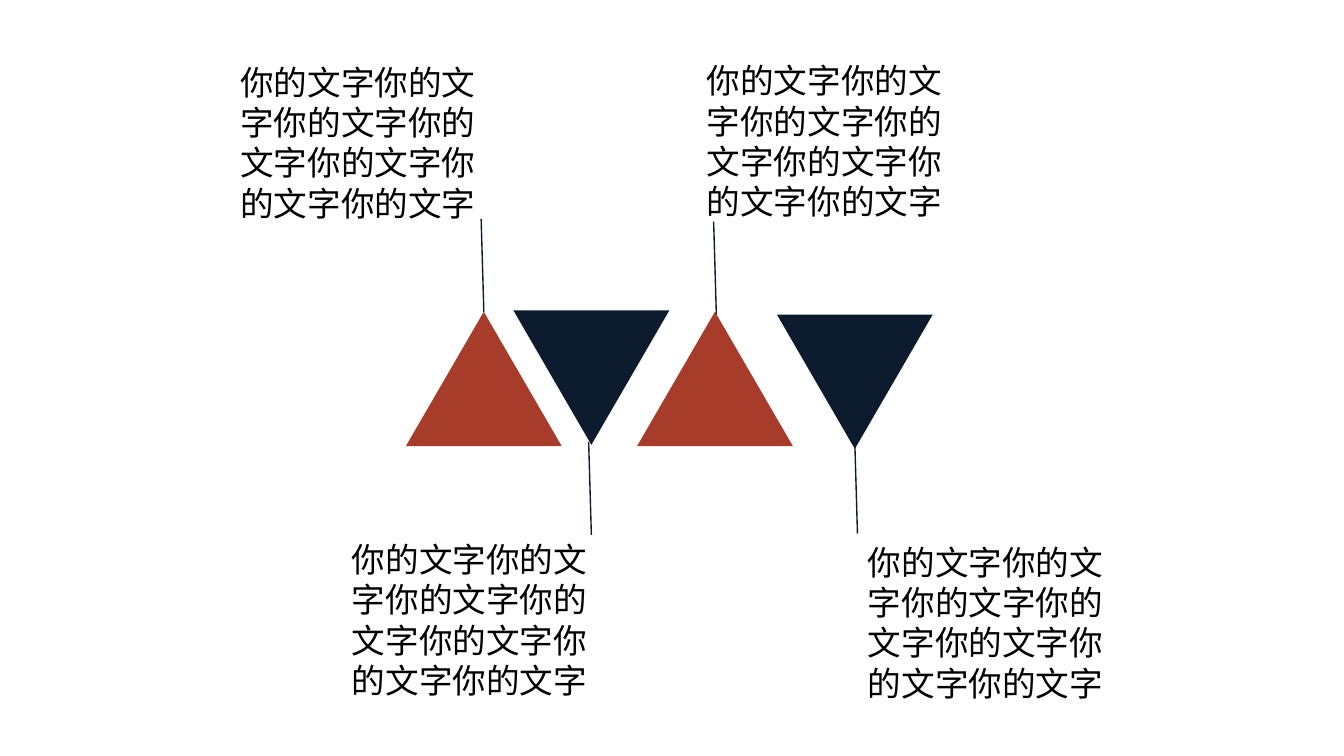
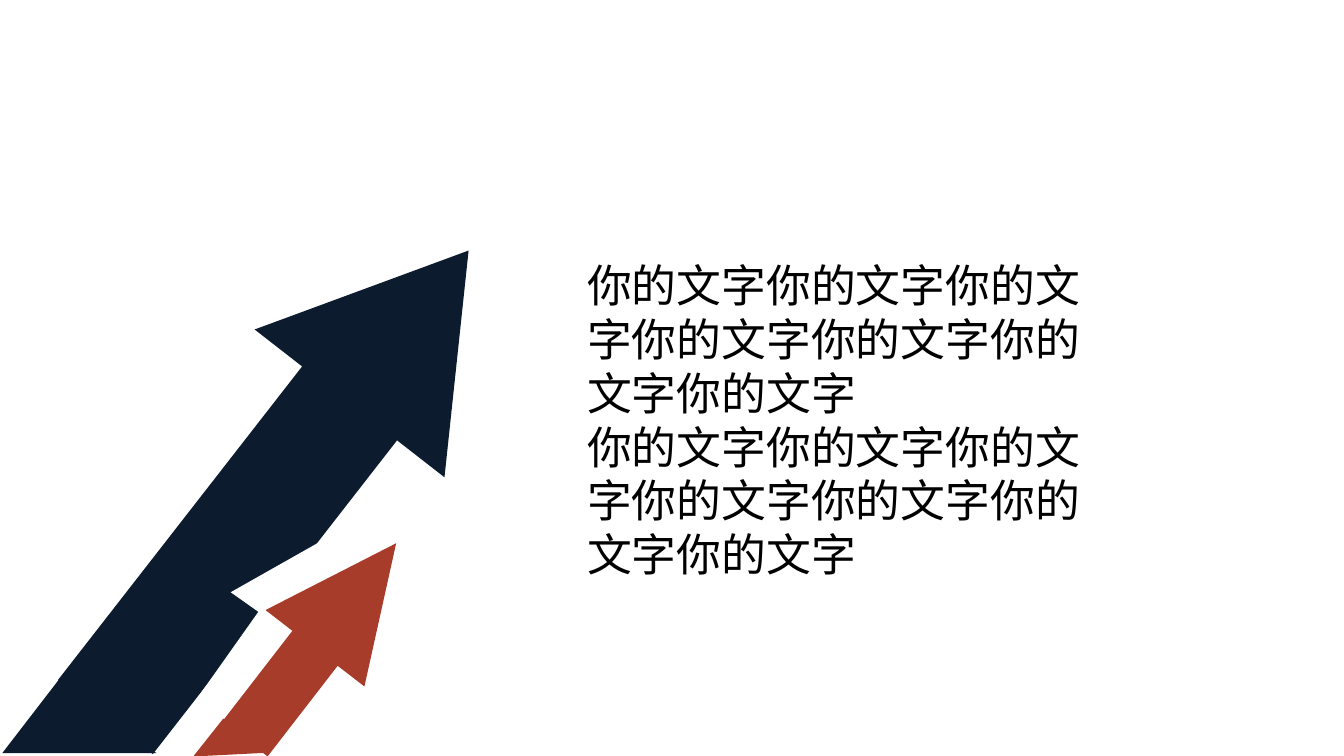
from pptx import Presentation
from pptx import util as u
from pptx.dml import color
from pptx.enum import shapes, text
from pptx.oxml import ns
from lxml import etree

# Shared look: a grid of 100 columns, with rows of the same size
CELL = 0.1
NAVY, RED, WHITE, BLACK = "0C1B2E", "A83C2A", "FFFFFF", "000000"
FONT = "Calibri"
SAMPLE = "你的文字" * 7
PRESET = shapes.MSO_SHAPE

deck = Presentation()
deck.slide_width, deck.slide_height = u.Inches(10), u.Inches(5.625)


def grid(*cells):
    return [u.Inches(count * CELL) for count in cells]


def rgb(code):
    return color.RGBColor.from_string(code)


def add_slide():
    slide = deck.slides.add_slide(deck.slide_layouts[6])
    slide.background.fill.solid()
    slide.background.fill.fore_color.rgb = rgb(WHITE)
    return slide


def add_figure(slide, preset, box, fill, rotation=0, adjust=()):
    figure = slide.shapes.add_shape(preset, *grid(*box))
    figure.shadow.inherit = False
    figure.fill.solid()
    figure.fill.fore_color.rgb = rgb(fill)
    figure.line.fill.background()
    figure.rotation = rotation
    for index, share in enumerate(adjust):
        figure.adjustments[index] = share


def add_stem(slide, start, end, stroke=NAVY, width=0.75):
    stem = slide.shapes.add_connector(
        shapes.MSO_CONNECTOR.STRAIGHT, *grid(*start, *end))
    stem.line.color.rgb = rgb(stroke)
    stem.line.width = u.Pt(width)
    etree.SubElement(stem._element.spPr, ns.qn("a:effectLst"))


def add_text(slide, box, paragraphs, size=18, ink=BLACK):
    frame = slide.shapes.add_textbox(*grid(*box)).text_frame
    frame.word_wrap = True
    frame.auto_size = text.MSO_AUTO_SIZE.SHAPE_TO_FIT_TEXT
    for index, words in enumerate(paragraphs):
        paragraph = frame.add_paragraph() if index else frame.paragraphs[0]
        run = paragraph.add_run()
        run.text = words
        run.font.size, run.font.name = u.Pt(size), FONT
        run.font.color.rgb = rgb(ink)


def triangle_callout(slide, box, points_up, nudge, caption_at):
    """A triangle, a stem from its tip and a caption; offsets are from the box."""
    left, top, width, height = box
    add_figure(slide, PRESET.ISOSCELES_TRIANGLE, box,
               RED if points_up else NAVY, 0 if points_up else 180)
    # Stem, leaning slightly away from the tip
    away = -1 if points_up else 1
    tip_x = left + width / 2 + nudge[0]
    tip_y = top + (0 if points_up else height) + nudge[1]
    add_stem(slide, (tip_x, tip_y), (tip_x + 0.2 * away, tip_y + 6.9 * away))
    add_text(slide, (left + caption_at[0], top + caption_at[1], 21.3, 16.2),
             [SAMPLE])


def rising_arrows(slide, box):
    """A large arrow and a small one, both cut by the foot of the slide."""
    left, top = box[:2]
    broad, slim = (0.5, 0.805), (0.458, 1.062)
    arrow, foot = PRESET.DOWN_ARROW, PRESET.RIGHT_TRIANGLE
    parts = [
        # Large arrow and its foot
        (arrow, (12.4, 0, 17.9, 44), NAVY, 217.9, broad),
        (foot, (2.4, 37.5, 7, 9.1), NAVY, 127.6, ()),
        # Gap around the small arrow
        (arrow, (16.7, 23, 9.3, 18.4), WHITE, 215.3, slim),
        # Small arrow and its foot
        (arrow, (19.2, 24.5, 9.3, 18.4), RED, 217.7, slim),
        (foot, (15.3, 40.1, 3.6, 4.1), RED, 128.4, ()),
    ]
    for preset, (x, y, width, height), fill, rotation, adjust in parts:
        add_figure(slide, preset, (left + x, top + y, width, height),
                   fill, rotation, adjust)


# Slide 1: four triangles with captions above and below
triangles = add_slide()
for left, top, points_up, nudge, caption_at in [
    (30.2, 23.2, True, (0, 0), (-13.3, -19.1)),
    (47.4, 23.2, True, (0.1, 0.2), (4.2, -19.2)),
    (57.8, 23.4, False, (0, -0.6), (5.8, 16.4)),
    (38.2, 23.1, False, (-0.2, -0.2), (-13, 16.5)),
]:
    triangle_callout(triangles, (left, top, 11.6, 10), points_up, nudge, caption_at)

# Slide 2: rising arrows beside two paragraphs
growth = add_slide()
rising_arrows(growth, (0, 14, 35, 42))
add_text(growth, (42.7, 18.7, 41, 25.2), [SAMPLE] * 2, size=24)

deck.save("out.pptx")
